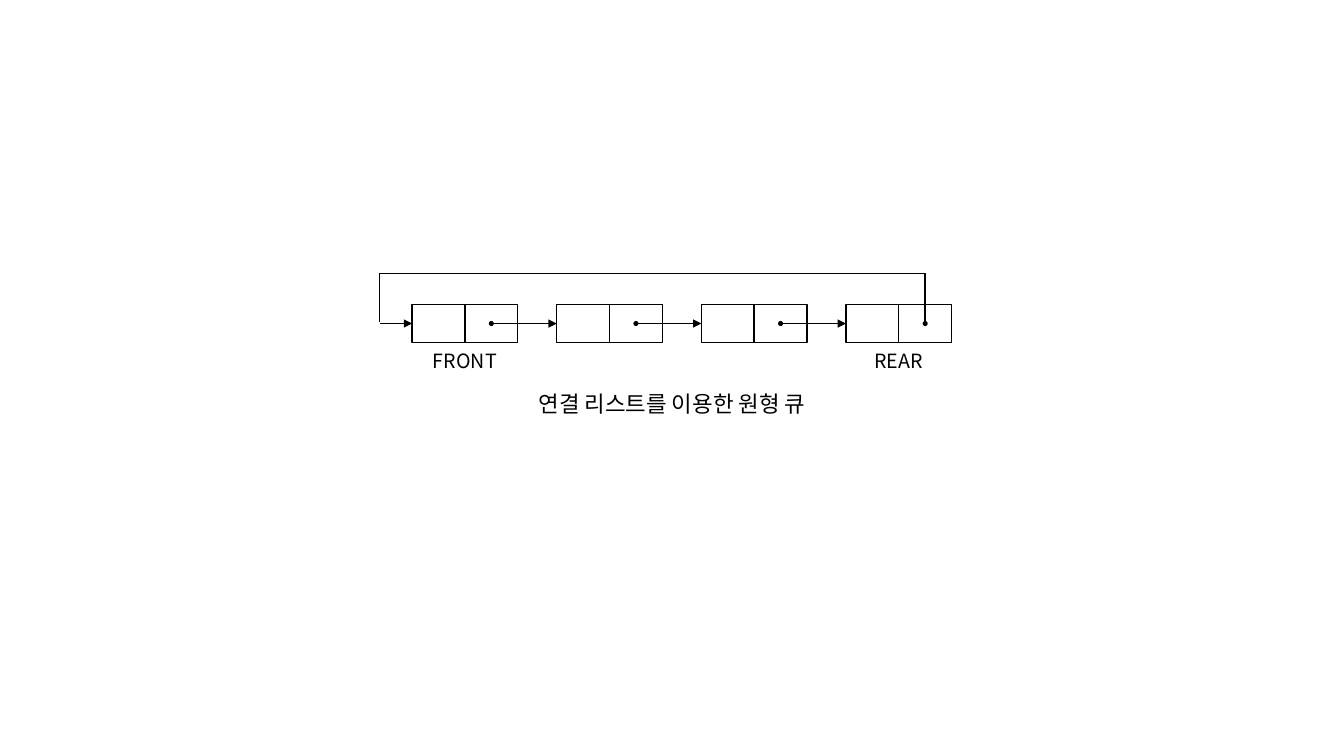
"""Draw a circular queue built from a linked list."""
from dataclasses import dataclass

from lxml import etree
from pptx import Presentation
from pptx.dml.color import RGBColor
from pptx.enum.shapes import MSO_CONNECTOR, MSO_SHAPE
from pptx.enum.text import MSO_AUTO_SIZE, PP_ALIGN
from pptx.oxml.ns import qn
from pptx.util import Pt

RECTANGLE = MSO_SHAPE.RECTANGLE
OVAL = MSO_SHAPE.OVAL
STRAIGHT = MSO_CONNECTOR.STRAIGHT
CENTER = PP_ALIGN.CENTER
GROW = MSO_AUTO_SIZE.SHAPE_TO_FIT_TEXT


@dataclass(frozen=True)
class Theme:
    ink: RGBColor = RGBColor(0, 0, 0)
    font: str = "Noto Sans CJK KR"
    label_size: float = 14
    caption_size: float = 16
    stroke: float = 1


@dataclass(frozen=True)
class Node:
    left: float
    label: str = ""

    @property
    def divider(self) -> float:
        return self.left + CELL_WIDTH

    @property
    def link_x(self) -> float:
        return self.divider + CELL_WIDTH / 2


@dataclass(frozen=True)
class Link:
    start: tuple[float, float]
    end: tuple[float, float]
    arrow: bool = False


THEME = Theme()
CELL_WIDTH, CELL_HEIGHT = 37.7, 27.4
NODE_TOP, FIRST_LEFT, PITCH = 217.4, 294.4, 103.3
MIDDLE = NODE_TOP + CELL_HEIGHT / 2
DOT = 3.6
RETURN_TOP, RETURN_LEFT = 195.2, 271.2
JOINT_GAP = 1.2
LABEL_TOP, LABEL_WIDTH, LABEL_HEIGHT = 245.5, 88, 24.2
CAPTION_TOP, CAPTION_WIDTH, CAPTION_HEIGHT = 275, 469.4, 26.6

prs = Presentation()
prs.slide_width, prs.slide_height = Pt(960), Pt(540)
slide = prs.slides.add_slide(prs.slide_layouts[6])


def add_text(text: str, *, center: float, top: float, width: float,
             height: float, size: float) -> None:
    """Place one centred line of text around a horizontal centre."""
    box = slide.shapes.add_textbox(
        Pt(center - width / 2), Pt(top), Pt(width), Pt(height))
    frame = box.text_frame
    frame.word_wrap = True
    frame.auto_size = GROW
    paragraph = frame.paragraphs[0]
    paragraph.alignment = CENTER
    run = paragraph.add_run()
    run.text = text
    run.font.name = THEME.font
    run.font.size = Pt(size)
    run.font.color.rgb = THEME.ink
    east_asian = etree.SubElement(run.font._element, qn("a:ea"))
    east_asian.set("typeface", THEME.font)


def add_cell(left: float) -> None:
    """Draw one outlined cell of a node."""
    cell = slide.shapes.add_shape(
        RECTANGLE, Pt(left), Pt(NODE_TOP), Pt(CELL_WIDTH), Pt(CELL_HEIGHT))
    cell.shadow.inherit = False
    cell.fill.background()
    cell.line.color.rgb = THEME.ink
    cell.line.width = Pt(THEME.stroke)


def add_dot(center: float) -> None:
    """Draw the pointer dot inside a link cell."""
    dot = slide.shapes.add_shape(
        OVAL, Pt(center - DOT / 2), Pt(MIDDLE - DOT / 2), Pt(DOT), Pt(DOT))
    dot.shadow.inherit = False
    dot.fill.solid()
    dot.fill.fore_color.rgb = THEME.ink
    dot.line.fill.background()


def add_link(link: Link) -> None:
    """Draw a straight line, with an arrowhead when asked."""
    connector = slide.shapes.add_connector(
        STRAIGHT, *(Pt(value) for value in link.start + link.end))
    connector.line.color.rgb = THEME.ink
    connector.line.width = Pt(THEME.stroke)
    properties = connector._element.spPr
    if link.arrow:
        head = etree.SubElement(properties.find(qn("a:ln")), qn("a:tailEnd"))
        head.set("type", "triangle")
    etree.SubElement(properties, qn("a:effectLst"))


def add_node(node: Node) -> None:
    """Draw a node with its data cell, link cell, dot and label."""
    add_cell(node.left)
    add_cell(node.divider)
    add_dot(node.link_x)
    if node.label:
        add_text(node.label, center=node.divider, top=LABEL_TOP,
                 width=LABEL_WIDTH, height=LABEL_HEIGHT, size=THEME.label_size)


nodes = [Node(FIRST_LEFT + PITCH * index, label)
         for index, label in enumerate(("FRONT", "", "", "REAR"))]
front, rear = nodes[0], nodes[-1]

next_links = [Link((node.link_x, MIDDLE), (follower.left, MIDDLE), True)
              for node, follower in zip(nodes, nodes[1:])]
return_links = [
    Link((rear.link_x, RETURN_TOP), (rear.link_x, MIDDLE)),
    Link((rear.link_x, RETURN_TOP), (RETURN_LEFT, RETURN_TOP)),
    Link((RETURN_LEFT, RETURN_TOP), (RETURN_LEFT, MIDDLE - JOINT_GAP)),
    Link((RETURN_LEFT, MIDDLE), (front.left, MIDDLE), True),
]

for queue_node in nodes:
    add_node(queue_node)
for queue_link in next_links + return_links:
    add_link(queue_link)
add_text("연결 리스트를 이용한 원형 큐", center=480, top=CAPTION_TOP,
         width=CAPTION_WIDTH, height=CAPTION_HEIGHT, size=THEME.caption_size)

prs.save("out.pptx")
